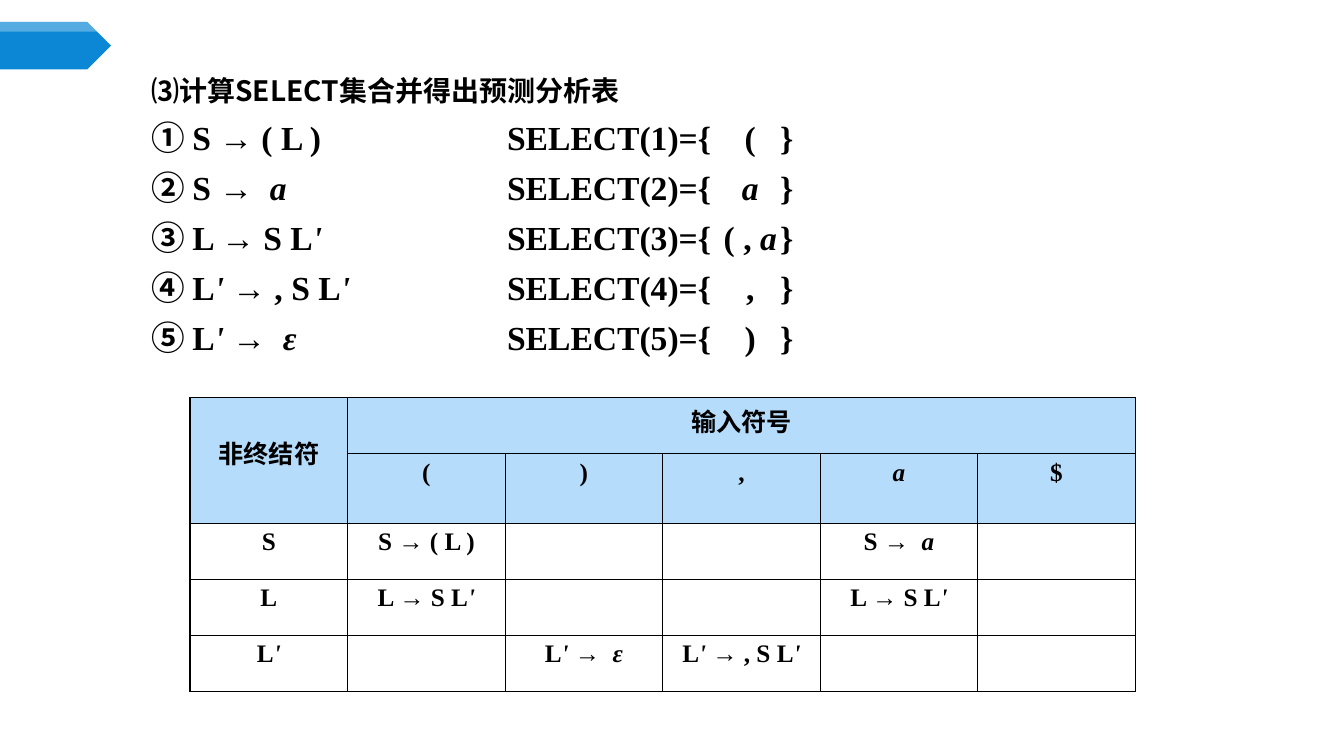
"""Build the SELECT sets and predictive parsing table slide."""
from lxml import etree
from pptx import Presentation
from pptx import util as u
from pptx.dml.color import RGBColor
from pptx.enum import shapes, text
from pptx.oxml import ns

BLACK = RGBColor(0, 0, 0)
WHITE = RGBColor(255, 255, 255)
BLUE = RGBColor(0x0B, 0x87, 0xD6)
SKY = RGBColor(0x36, 0x9F, 0xF9)
SERIF, SANS, CJK = "Times New Roman", "Roboto", "Noto Sans CJK SC"


def tint(fill, color, node, alpha=100):
    fill.solid()
    fill.fore_color.rgb = color
    if alpha < 100:
        tone = node.find(".//" + ns.qn("a:srgbClr"))
        etree.SubElement(tone, ns.qn("a:alpha"), val=str(alpha * 1000))


def write(para, line, name, size):
    for i, part in enumerate(line.split("*")):
        if part:
            run = para.add_run()
            run.text = part
            form = {"name": name, "size": u.Pt(size), "bold": True, "italic": i % 2 == 1}
            for key, value in form.items():
                setattr(run.font, key, value)
            run.font.color.rgb = BLACK
            east = etree.SubElement(run.font._element, ns.qn("a:ea"))
            east.set("typeface", SERIF if name == SERIF else CJK)


deck = Presentation()
deck.slide_width, deck.slide_height = u.Cm(33.87), u.Cm(19.05)
slide = deck.slides.add_slide(deck.slide_layouts[6])

tag = slide.shapes.add_shape(shapes.MSO_SHAPE.PENTAGON, 0, u.Cm(0.55), u.Cm(2.8), u.Cm(1.2))
edge = [(2.23, 0.55), (2.46, 0.8), (0, 0.8)]
pen = slide.shapes.build_freeform(0, u.Cm(0.55))
pen.add_line_segments([(u.Cm(x), u.Cm(y)) for x, y in edge])
gloss = pen.convert_to_shape()
for shape, color, alpha in [(tag, BLUE, 100), (gloss, WHITE, 30)]:
    tint(shape.fill, color, shape._element.spPr, alpha)
    shape.line.fill.background()
    shape.shadow.inherit = False

RULES = [
    ("①", "S → ( L )", "("),
    ("②", "S →  *a*", "*a*"),
    ("③", "L → S L*'*", "( , *a*"),
    ("④", "L*'* → , S L*'*", ","),
    ("⑤", "L*'* →  *ε*", ")"),
]
TABS = [(8.97, "l"), (15.1, "ctr"), (15.85, "l")]
box = slide.shapes.add_textbox(u.Cm(3.56), u.Cm(1.3), u.Cm(20.42), u.Cm(8.81))
frame = box.text_frame
frame.word_wrap = True
head = frame.paragraphs[0]
head.line_spacing = u.Pt(35.8)
write(head, "⑶计算SELECT集合并得出预测分析表", CJK, 20)
for n, (mark, rule, first) in enumerate(RULES, 1):
    para = frame.add_paragraph()
    para.line_spacing = u.Pt(35.8)
    stops = etree.SubElement(para._p.get_or_add_pPr(), ns.qn("a:tabLst"))
    for pos, side in TABS:
        etree.SubElement(stops, ns.qn("a:tab"), pos=str(u.Cm(pos)), algn=side)
    write(para, mark + " ", CJK, 24)
    write(para, f"{rule}\tSELECT({n})={{\t{first}\t}}", SERIF, 24)

CELLS = [
    ["非终结符", "输入符号", "", "", "", ""],
    ["", "(", ")", ",", "*a*", "$"],
    ["S", "S → ( L )", "", "", "S →  *a*", ""],
    ["L", "L → S L*'*", "", "", "L → S L*'*", ""],
    ["L*'*", "", "L*'* →  *ε*", "L*'* → , S L*'*", "", ""],
]
grid = slide.shapes.add_table(5, 6, u.Cm(4.79), u.Cm(10.02), u.Cm(23.82), u.Cm(7.4)).table
for col in grid.columns:
    col.width = u.Cm(3.97)
for row, high in zip(grid.rows, [1.41, 1.76, 1.41, 1.41, 1.41]):
    row.height = u.Cm(high)
for r, row in enumerate(CELLS):
    for c, line in enumerate(row):
        cell = grid.cell(r, c)
        para = cell.text_frame.paragraphs[0]
        para.alignment = text.PP_ALIGN.CENTER
        write(para, line, SANS if r == 0 else SERIF, 18)
        prop = cell._tc.get_or_add_tcPr()
        for side in ("lnL", "lnR", "lnT", "lnB"):
            line = etree.SubElement(prop, ns.qn("a:" + side), w=str(u.Pt(1)))
            ink = etree.SubElement(line, ns.qn("a:solidFill"))
            etree.SubElement(ink, ns.qn("a:srgbClr"), val=str(BLACK))
        if r < 2:
            cell.fill.solid()
            tint(cell.fill, SKY, prop.find(ns.qn("a:solidFill")), 36)
        else:
            cell.fill.background()
grid.cell(0, 0).merge(grid.cell(1, 0))
grid.cell(0, 1).merge(grid.cell(0, 5))
grid.cell(0, 0).vertical_anchor = text.MSO_ANCHOR.MIDDLE
grid.cell(0, 0).margin_bottom = u.Cm(0.53)

deck.save("out.pptx")
